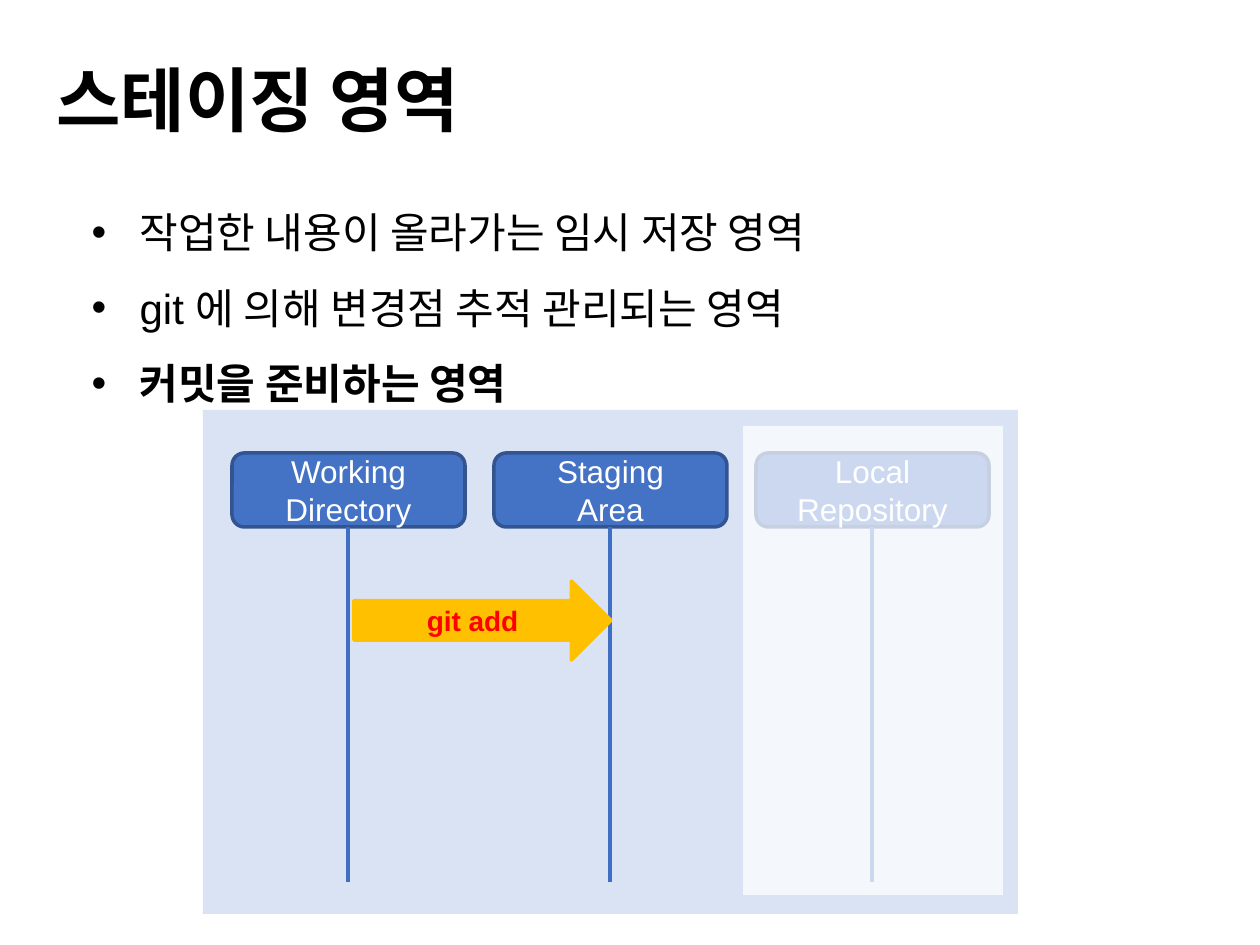
"""Build the slide on the git staging area."""
from lxml import etree
from pptx import Presentation, util as u
from pptx.dml.color import RGBColor
from pptx.enum import shapes, text
from pptx.oxml.ns import qn

TITLE = "스테이징 영역"
BULLETS = [
    ("작업한 내용이 올라가는 임시 저장 영역", False),
    ("git 에 의해 변경점 추적 관리되는 영역", False),
    ("커밋을 준비하는 영역", True),
]
STAGES = [("Working", "Directory"), ("Staging", "Area"), ("Local", "Repository")]
COMMAND = "git add"

COLORS = {
    "black": "000000", "white": "FFFFFF", "panel": "DAE3F3", "box": "4472C4",
    "box_edge": "325491", "lifeline": "3F6FC3", "arrow": "FFC000", "command": "FF0000",
}
LATIN, KOREAN = "Arial", "Noto Sans CJK KR"
SCALE = 914400 / 126
SHAPE = shapes.MSO_SHAPE

TITLE_AREA = (44, 16, 1202, 165)
BODY_AREA = (79, 175, 1126, 232)
PANEL = (203, 410, 815, 504)
VEIL = (743, 426, 260, 469)
ARROW = (354, 581, 257, 79)
BOX_LEFT, BOX_TOP, BOX_W, BOX_H, BOX_STEP = 232, 453, 233, 74, 262
LIFELINE_END = 882


def px(n):
    return u.Emu(round(n * SCALE))


def rgb(name):
    return RGBColor.from_string(COLORS[name])


def place(sp, area):
    sp.left, sp.top, sp.width, sp.height = map(px, area)


def write(p, words, size=18, color="white", bold=False, font=LATIN, align=None):
    p.alignment = align
    r = p.add_run()
    r.text = words
    f = r.font
    f.size, f.bold, f.name = u.Pt(size), bold, font
    f.color.rgb = rgb(color)
    etree.SubElement(r._r.get_or_add_rPr(), qn("a:ea"), typeface=KOREAN)


def add_block(s, kind, area, fill, line=None, lines=(), **fmt):
    sp = s.shapes.add_shape(kind, *map(px, area))
    sp.shadow.inherit = False
    sp.fill.solid()
    sp.fill.fore_color.rgb = rgb(fill)
    if line:
        sp.line.color.rgb = rgb(line)
        sp.line.width = u.Pt(2)
    else:
        sp.line.fill.background()
    tf = sp.text_frame
    tf.vertical_anchor = text.MSO_ANCHOR.MIDDLE
    for i, words in enumerate(lines):
        p = tf.add_paragraph() if i else tf.paragraphs[0]
        write(p, words, align=text.PP_ALIGN.CENTER, **fmt)
    return sp


def add_lifeline(s, x):
    c = s.shapes.add_connector(
        shapes.MSO_CONNECTOR.STRAIGHT, px(x), px(BOX_TOP + BOX_H), px(x), px(LIFELINE_END))
    c.line.color.rgb = rgb("lifeline")
    c.line.width = u.Pt(2.25)
    etree.SubElement(c._element.spPr, qn("a:effectLst"))


def add_title(s):
    sp = s.shapes.title
    place(sp, TITLE_AREA)
    sp.text_frame.vertical_anchor = text.MSO_ANCHOR.MIDDLE
    write(sp.text_frame.paragraphs[0], TITLE, size=40, color="black", bold=True,
          font=KOREAN, align=text.PP_ALIGN.LEFT)


def add_bullets(s):
    sp = s.placeholders[1]
    place(sp, BODY_AREA)
    tf = sp.text_frame
    tf.auto_size = text.MSO_AUTO_SIZE.SHAPE_TO_FIT_TEXT
    for i, (words, bold) in enumerate(BULLETS):
        p = tf.add_paragraph() if i else tf.paragraphs[0]
        p.line_spacing, p.space_before = 1.5, u.Pt(0)
        pPr = p._p.get_or_add_pPr()
        pPr.set("marL", str(px(48)))
        pPr.set("indent", str(-px(48)))
        etree.SubElement(pPr, qn("a:buFont"), typeface=LATIN)
        etree.SubElement(pPr, qn("a:buChar"), char="•")
        write(p, words, size=24, color="black", bold=bold)


def add_diagram(s):
    add_block(s, SHAPE.RECTANGLE, PANEL, "panel")
    for i, lines in enumerate(STAGES):
        x = BOX_LEFT + i * BOX_STEP
        add_block(s, SHAPE.ROUNDED_RECTANGLE, (x, BOX_TOP, BOX_W, BOX_H),
                  "box", "box_edge", lines)
        add_lifeline(s, x + BOX_W // 2)
    veil = add_block(s, SHAPE.RECTANGLE, VEIL, "white")
    color = veil._element.spPr.find(qn("a:solidFill"))[0]
    etree.SubElement(color, qn("a:alpha"), val="73000")
    add_block(s, SHAPE.RIGHT_ARROW, ARROW, "arrow", "arrow", [COMMAND],
              size=16, color="command", bold=True)


def main():
    prs = Presentation()
    prs.slide_width, prs.slide_height = u.Inches(10), u.Inches(7.5)
    s = prs.slides.add_slide(prs.slide_layouts[1])
    add_title(s)
    add_bullets(s)
    add_diagram(s)
    prs.save("out.pptx")


if __name__ == "__main__":
    main()
